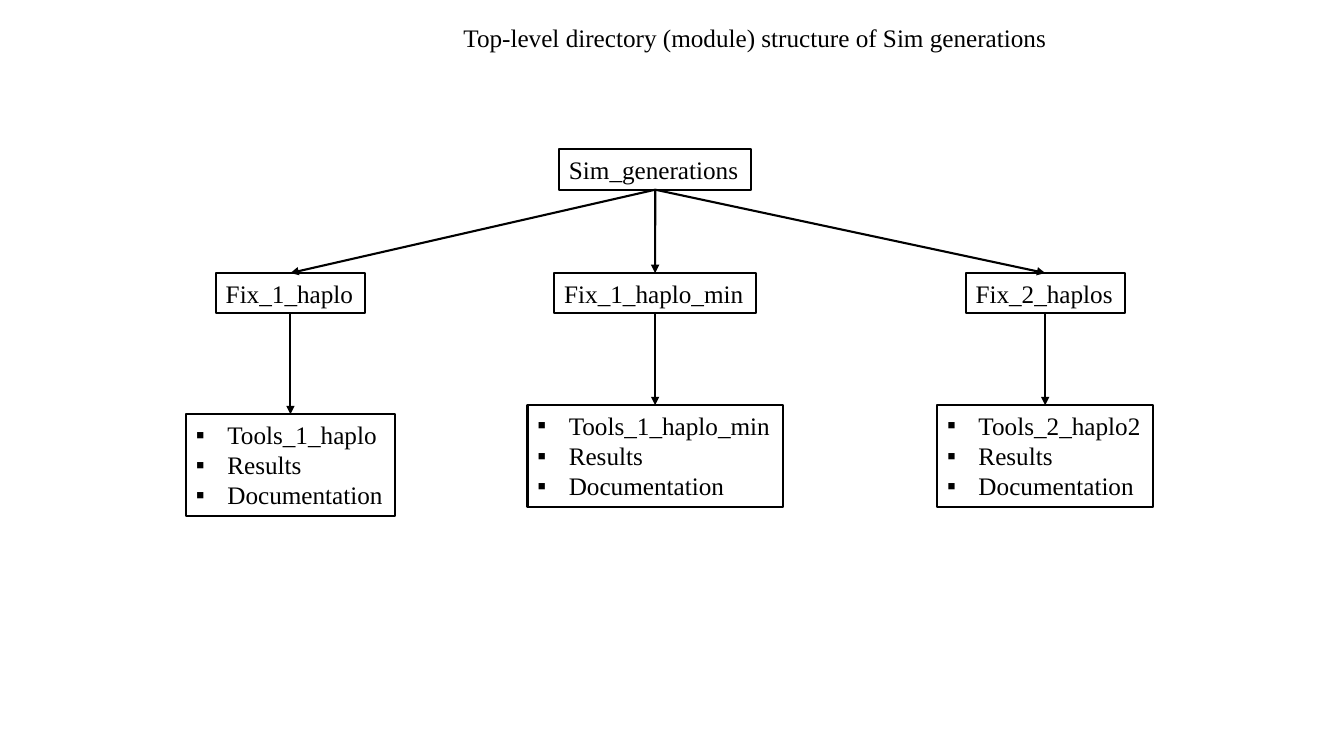
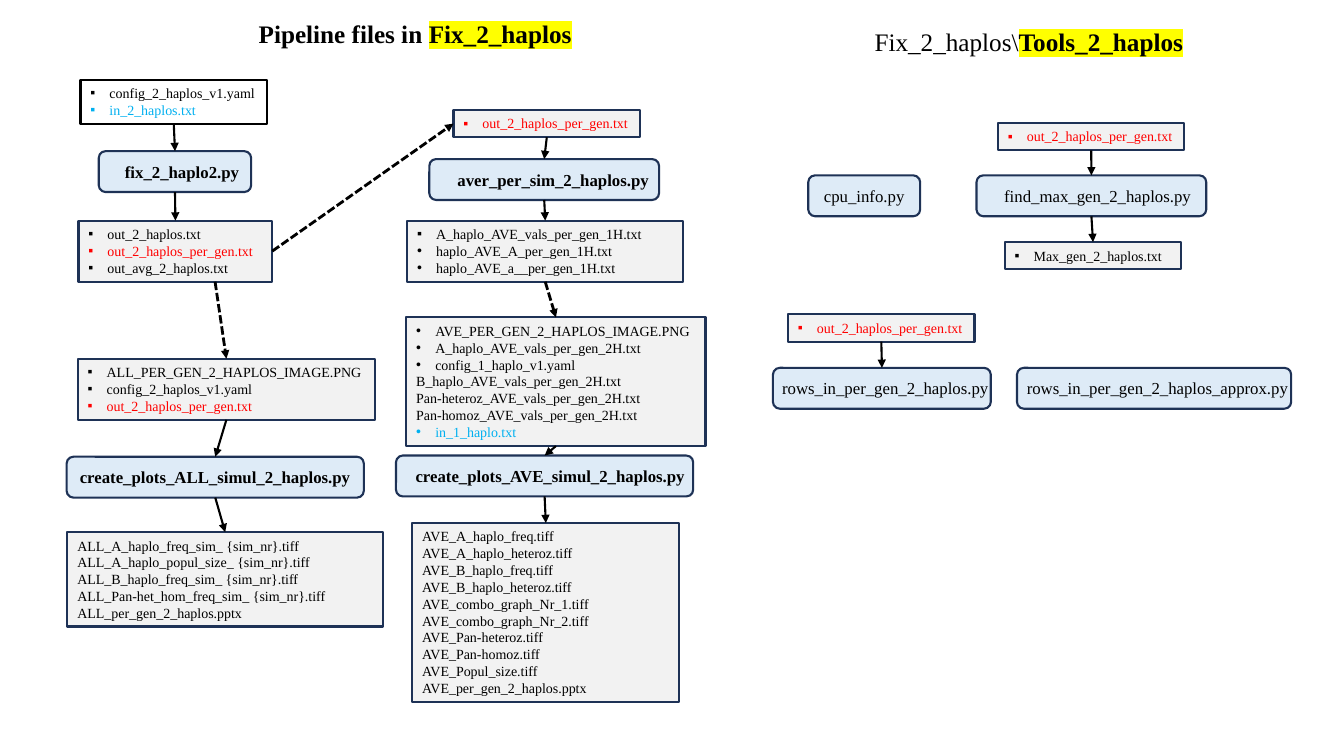
from dataclasses import dataclass
from itertools import pairwise

from lxml import etree
from pptx import Presentation
from pptx import util as u
from pptx.dml.color import RGBColor
from pptx.enum import dml, shapes, text
from pptx.oxml.ns import qn

COLORS = {
    "ink": "000000",
    "input": "00B0F0",
    "shared": "FF0000",
    "marker": "FFFF00",
    "file_fill": "F2F2F2",
    "script_fill": "DEEBF7",
    "outline": "1E3256",
}
FONT = "Times New Roman"
LARGE, MEDIUM, SMALL = 18, 12, 10
BOTTOM, TOP, RIGHT, LEFT = 2, 0, 3, 1
SCRIPT_HEIGHT = 1.03


@dataclass
class Box:
    """A rectangle in centimetres."""
    left: float
    top: float
    width: float
    height: float = 0

    def inner(self, left, top, width, height=0):
        return Box(self.left + left, self.top + top, width, height)

    def lengths(self):
        return [u.Cm(n) for n in (self.left, self.top, self.width, self.height)]


@dataclass
class Item:
    text: str
    color: str = "ink"
    bullet: str = "▪"


@dataclass
class Files:
    left: float
    top: float
    width: float
    items: list
    fill: str = "file_fill"
    outline: str = "outline"


@dataclass
class Script:
    """A program box; lead pushes its centred name to the right."""
    left: float
    top: float
    width: float
    name: str
    lead: float = 0
    bold: bool = False


def dot(name, color="ink"):
    return Item(name, color, "•")


def plain(name):
    return Item(name, bullet="")


SHARED_FILE = Item("out_2_haplos_per_gen.txt", "shared")


def rgb(name):
    return RGBColor.from_string(COLORS[name])


def write(para, words, size=SMALL, color="ink", bold=False, highlight=None):
    span = para.add_run()
    span.text = words
    font = span.font
    font.size, font.bold = u.Pt(size), bold
    font.color.rgb = rgb(color)
    if highlight:
        mark = etree.SubElement(span._r.get_or_add_rPr(), qn("a:highlight"))
        etree.SubElement(mark, qn("a:srgbClr"), val=COLORS[highlight])
    font.name = FONT


def set_bullet(para, symbol, indent):
    props = para._p.get_or_add_pPr()
    props.set("marL", str(u.Cm(indent)))
    props.set("indent", str(-u.Cm(indent)))
    etree.SubElement(props, qn("a:buFont"), typeface="Arial")
    etree.SubElement(props, qn("a:buChar"), char=symbol)


def add_block(page, box, preset, fill, outline):
    shape = page.shapes.add_shape(preset, *box.lengths())
    shape.shadow.inherit = False
    if fill:
        shape.fill.solid()
        shape.fill.fore_color.rgb = rgb(fill)
    else:
        shape.fill.background()
    shape.line.color.rgb = rgb(outline)
    shape.line.width = u.Pt(1.5)
    return shape


def add_list(page, box, items, size=SMALL, fill=None, outline="ink"):
    """Draw a rectangle as tall as its lines of text."""
    box.height = round(len(items) * size * 0.0425 + 0.26, 2)
    shape = add_block(page, box, shapes.MSO_SHAPE.RECTANGLE, fill, outline)
    frame = shape.text_frame
    frame.word_wrap = True
    frame.auto_size = text.MSO_AUTO_SIZE.SHAPE_TO_FIT_TEXT
    frame.vertical_anchor = text.MSO_ANCHOR.TOP
    frame.margin_right = u.Cm(0.1)
    for index, item in enumerate(items):
        para = frame.add_paragraph() if index else frame.paragraphs[0]
        para.alignment = text.PP_ALIGN.LEFT
        if item.bullet:
            set_bullet(para, item.bullet, 0.79 if size == LARGE else 0.48)
        write(para, item.text, size=size, color=item.color)
    return shape


def add_script(page, box, script):
    shape = add_block(page, box, shapes.MSO_SHAPE.ROUNDED_RECTANGLE,
                      "script_fill", "outline")
    frame = shape.text_frame
    frame.word_wrap = False
    frame.vertical_anchor = text.MSO_ANCHOR.MIDDLE
    frame.margin_left, frame.margin_right = u.Cm(script.lead), 0
    para = frame.paragraphs[0]
    para.alignment = text.PP_ALIGN.CENTER
    write(para, script.name, size=MEDIUM, bold=script.bold)
    return shape


def add_step(page, region, step):
    if isinstance(step, Script):
        box = region.inner(step.left, step.top, step.width, SCRIPT_HEIGHT)
        return add_script(page, box, step)
    box = region.inner(step.left, step.top, step.width)
    return add_list(page, box, step.items, fill=step.fill, outline=step.outline)


def add_arrow(page, start, end, sites=(BOTTOM, TOP), dashed=False, shift=0):
    """Join two shapes; shift moves the start sideways, off its site."""
    arrow = page.shapes.add_connector(shapes.MSO_CONNECTOR.STRAIGHT, 0, 0, 0, 0)
    arrow.end_connect(end, sites[1])
    if shift:
        arrow.begin_x = start.left + start.width // 2 + u.Cm(shift)
        arrow.begin_y = start.top + start.height
    else:
        arrow.begin_connect(start, sites[0])
    arrow.line.color.rgb = rgb("ink")
    arrow.line.width = u.Pt(2 if dashed else 1.5)
    if dashed:
        arrow.line.dash_style = dml.MSO_LINE.SQUARE_DOT
    etree.SubElement(arrow.line._get_or_add_ln(), qn("a:tailEnd"), type="triangle")
    etree.SubElement(arrow._element.spPr, qn("a:effectLst"))


def add_title(page, box, *spans):
    """Write a heading from pairs of words and format."""
    frame = page.shapes.add_textbox(*box.lengths()).text_frame
    frame.word_wrap = True
    frame.margin_right = u.Cm(0.1)
    for words, style in spans:
        write(frame.paragraphs[0], words, size=LARGE, **style)


def add_tree(page, region, root_name, branches):
    middle = region.width * 0.485

    def centred(center, top, width, items):
        box = region.inner(center - width / 2, top, width)
        return add_list(page, box, items, size=LARGE)

    root = centred(middle, 0, 4.85, [plain(root_name)])
    for center, name, name_width, list_top, list_width, tools in branches:
        module = centred(center, 3.12, name_width, [plain(name)])
        contents = [Item(entry) for entry in (tools, "Results", "Documentation")]
        folder = centred(center, list_top, list_width, contents)
        add_arrow(page, root, module)
        add_arrow(page, module, folder)


def add_chain(page, region, steps, dashed_after=None, shift=0):
    """Stack steps joined by arrows; the arrow after one step is dashed."""
    blocks = [add_step(page, region, step) for step in steps]
    for index, (start, end) in enumerate(pairwise(blocks)):
        dashed = index == dashed_after
        add_arrow(page, start, end, dashed=dashed, shift=shift if dashed else 0)
    return blocks


def add_pipeline(page, region):
    simulation = [
        Files(0.35, 0, 4.7, [Item("config_2_haplos_v1.yaml"),
                             Item("in_2_haplos.txt", "input")], None, "ink"),
        Script(0.81, 1.8, 3.84, "fix_2_haplo2.py", 0.36, True),
        Files(0.3, 3.55, 4.88, [Item("out_2_haplos.txt"), SHARED_FILE,
                                Item("out_avg_2_haplos.txt")]),
        Files(0.28, 7.03, 7.49, [Item("ALL_PER_GEN_2_HAPLOS_IMAGE.PNG"),
                                 Item("config_2_haplos_v1.yaml"), SHARED_FILE]),
        Script(0, 9.5, 7.49, "create_plots_ALL_simul_2_haplos.py", 0, True),
        Files(0.02, 11.4, 7.95, [
            plain("ALL_A_haplo_freq_sim_ {sim_nr}.tiff"),
            plain("ALL_A_haplo_popul_size_ {sim_nr}.tiff"),
            plain("ALL_B_haplo_freq_sim_ {sim_nr}.tiff"),
            plain("ALL_Pan-het_hom_freq_sim_ {sim_nr}.tiff"),
            plain("ALL_per_gen_2_haplos.pptx")]),
    ]
    plots = ["A_haplo_freq.tiff", "A_haplo_heteroz.tiff", "B_haplo_freq.tiff",
             "B_haplo_heteroz.tiff", "combo_graph_Nr_1.tiff",
             "combo_graph_Nr_2.tiff", "Pan-heteroz.tiff", "Pan-homoz.tiff",
             "Popul_size.tiff", "per_gen_2_haplos.pptx"]
    averages = [
        Files(1.45, 0, 4.7, [SHARED_FILE]),
        Script(0.84, 1.24, 5.79, "aver_per_sim_2_haplos.py", 0.46, True),
        Files(0.28, 2.79, 6.96, [Item("A_haplo_AVE_vals_per_gen_1H.txt"),
                                 dot("haplo_AVE_A_per_gen_1H.txt"),
                                 dot("haplo_AVE_a__per_gen_1H.txt")]),
        Files(0.26, 5.23, 7.54, [
            dot("AVE_PER_GEN_2_HAPLOS_IMAGE.PNG"),
            dot("A_haplo_AVE_vals_per_gen_2H.txt"),
            dot("config_1_haplo_v1.yaml"),
            plain("B_haplo_AVE_vals_per_gen_2H.txt"),
            plain("Pan-heteroz_AVE_vals_per_gen_2H.txt"),
            plain("Pan-homoz_AVE_vals_per_gen_2H.txt"),
            dot("in_1_haplo.txt", "input")]),
        Script(0, 8.71, 7.49, "create_plots_AVE_simul_2_haplos.py", 0.29, True),
        Files(0.41, 10.41, 6.73, [plain(f"AVE_{name}") for name in plots]),
    ]
    left = add_chain(page, region, simulation, dashed_after=2, shift=1)
    right = add_chain(page, region.inner(8.3, 0.76, 7.8), averages, dashed_after=2)
    add_arrow(page, left[2], right[0], sites=(RIGHT, LEFT), dashed=True)


def add_tools(page, region):
    chains = [
        [Files(5.67, 0, 4.7, [SHARED_FILE]),
         Script(5.13, 1.32, 5.79, "find_max_gen_2_haplos.py", 0.32),
         Files(5.84, 3, 4.45, [Item("Max_gen_2_haplos.txt")])],
        [Script(0.89, 1.32, 2.82, "cpu_info.py")],
        [Files(0.38, 4.82, 4.7, [SHARED_FILE]),
         Script(0, 6.17, 5.49, "rows_in_per_gen_2_haplos.py", 0.18)],
        [Script(6.15, 6.17, 6.91, "rows_in_per_gen_2_haplos_approx.py", 0.18)],
    ]
    for steps in chains:
        add_chain(page, region, steps)


def main():
    deck = Presentation()
    deck.slide_width, deck.slide_height = u.Cm(33.87), u.Cm(19.05)
    blank = deck.slide_layouts[6]
    marked = {"bold": True, "highlight": "marker"}

    page = deck.slides.add_slide(blank)
    add_title(page, Box(11.43, 0.43, 15.37, 1.03),
              ("Top-level directory (module) structure of Sim generations", {}))
    add_tree(page, Box(4.67, 3.76, 24.42, 9.25), "Sim_generations", [
        (2.65, "Fix_1_haplo", 3.76, 6.68, 5.26, "Tools_1_haplo"),
        (11.84, "Fix_1_haplo_min", 5.08, 6.45, 6.43, "Tools_1_haplo_min"),
        (21.67, "Fix_2_haplos", 4.01, 6.45, 5.44, "Tools_2_haplo2"),
    ])

    page = deck.slides.add_slide(blank)
    add_title(page, Box(6.27, 0.33, 8.48, 1.03),
              ("Pipeline files in ", {"bold": True}), ("Fix_2_haplos", marked))
    add_title(page, Box(21.79, 0.53, 8.43, 1.03),
              ("Fix_2_haplos\\", {}), ("Tools_2_haplos", marked))
    add_pipeline(page, Box(1.68, 2.01, 16.1, 15.7))
    add_tools(page, Box(19.48, 3.1, 13.06, 7.2))
    deck.save("out.pptx")


if __name__ == "__main__":
    main()
